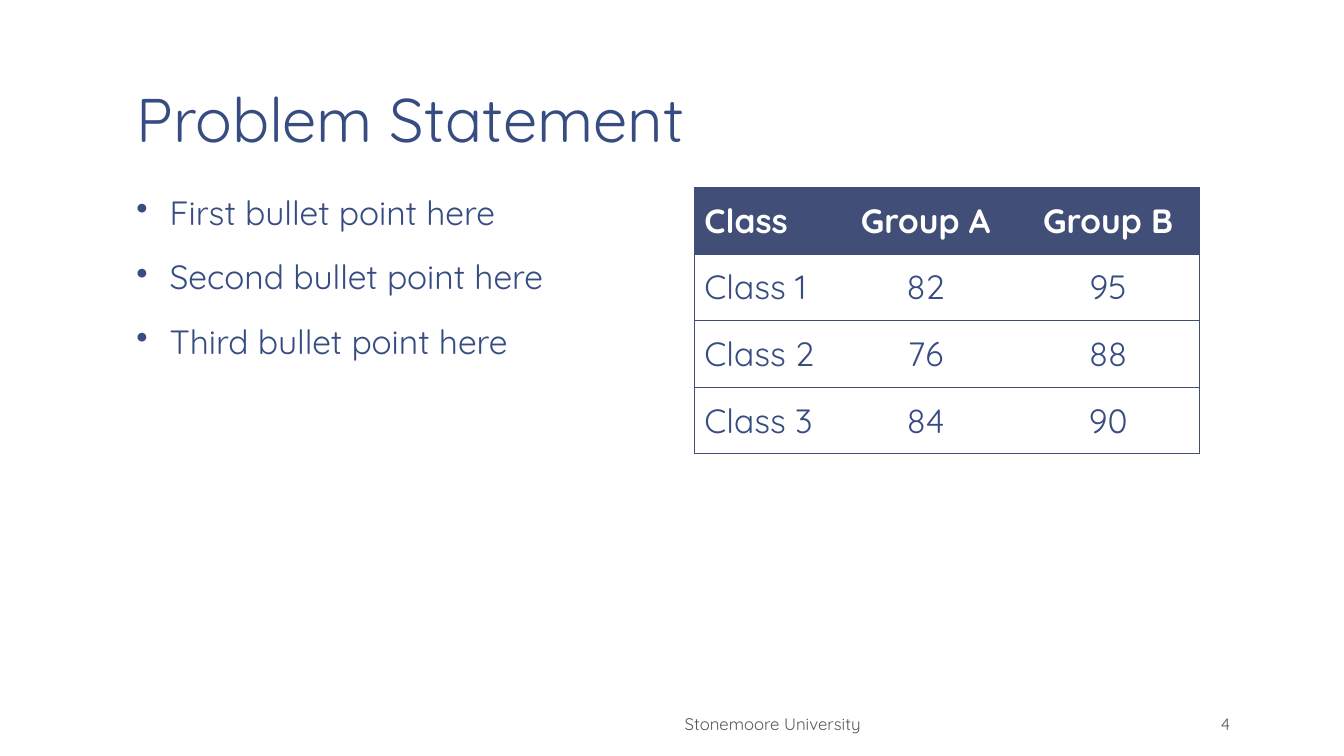
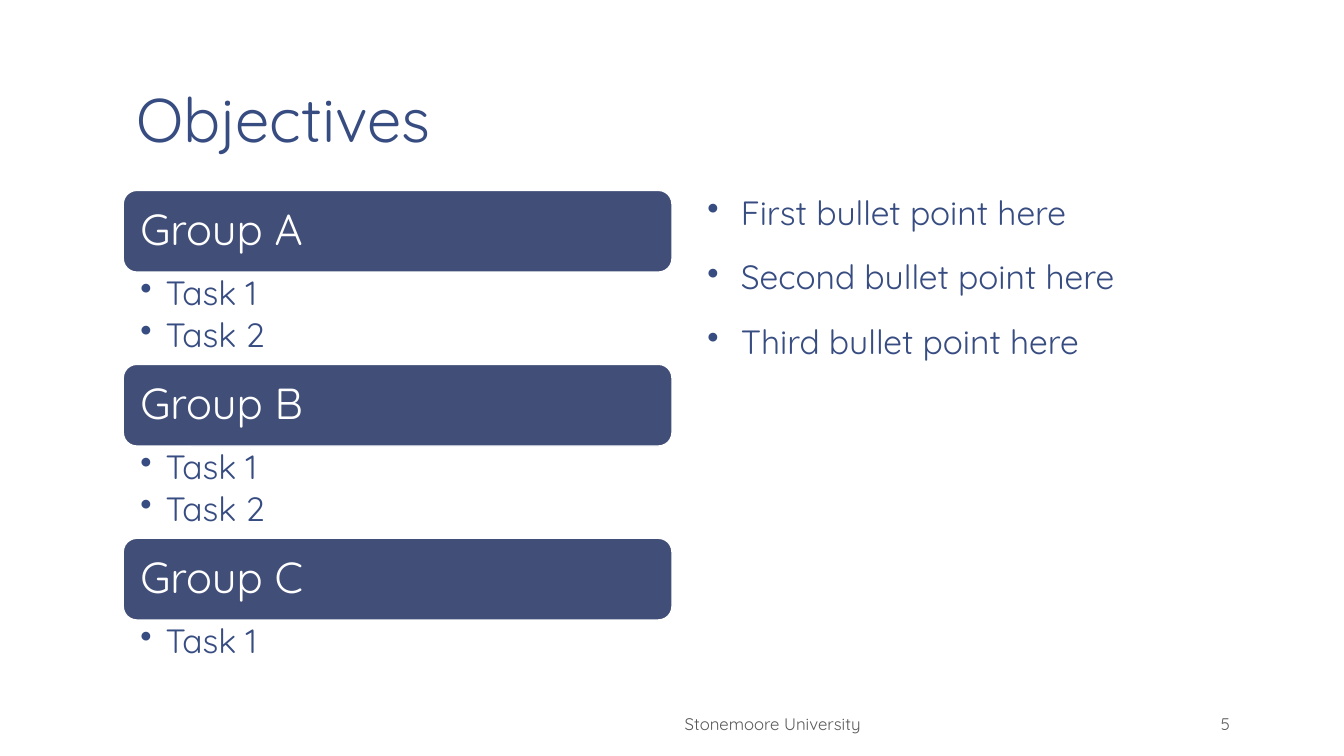
from dataclasses import dataclass
from lxml import etree
from pptx import Presentation
from pptx.dml.color import RGBColor
from pptx.enum.shapes import MSO_SHAPE
from pptx.enum.text import MSO_ANCHOR, PP_ALIGN
from pptx.oxml.ns import qn
from pptx.util import Inches, Pt

LEFT, MID, RIGHT = PP_ALIGN.LEFT, PP_ALIGN.CENTER, PP_ALIGN.RIGHT
TOP, CENTER, BASE = MSO_ANCHOR.TOP, MSO_ANCHOR.MIDDLE, MSO_ANCHOR.BOTTOM
ROUND = MSO_SHAPE.ROUNDED_RECTANGLE
COLS, ROWS = 120, 67.5
WIDE, HIGH = Inches(13.33), Inches(7.5)


@dataclass(frozen=True)
class Theme:
    font: str = "Quicksand"
    ink: str = "374C81"
    band: str = "414E77"
    white: str = "FFFFFF"
    gray: str = "595959"
    title: int = 44
    head: int = 31
    body: int = 24
    foot: int = 12
    rule: float = 0.5
    pad: tuple = (0.13, 0.07, 0.13, 0.07)


@dataclass(frozen=True)
class Box:
    x: float
    y: float
    w: float
    h: float

    def inner(self, x, y, w, h):
        return Box(self.x + x, self.y + y, w, h)

    def place(self):
        return (int(WIDE * self.x / COLS), int(HIGH * self.y / ROWS),
                int(WIDE * self.w / COLS), int(HIGH * self.h / ROWS))


THEME = Theme()
PAGE = Box(0, 0, COLS, ROWS)
HALF_L = PAGE.inner(11, 16.75, 49, 44)
HALF_R = PAGE.inner(62, 16.75, 49, 44)
SCHOOL = "Stonemoore University"
POINTS = ["First bullet point here", "Second bullet point here",
          "Third bullet point here"]
SCORES = [["Class", "Group A", "Group B"], ["Class 1", "82", "95"],
          ["Class 2", "76", "88"], ["Class 3", "84", "90"]]
GROUPS = [("Group A", ["Task 1", "Task 2"]),
          ("Group B", ["Task 1", "Task 2"]), ("Group C", ["Task 1"])]


def color(code):
    return RGBColor.from_string(code)


def write(frame, text, size=THEME.body, ink=THEME.ink, bold=False,
          align=LEFT, line=1.0, before=0, after=0, dent=0):
    lines = [text] if isinstance(text, str) else text
    for i, words in enumerate(lines):
        para = frame.paragraphs[0] if i == 0 else frame.add_paragraph()
        para.alignment, para.line_spacing = align, line
        para.space_before, para.space_after = Pt(before), Pt(after)
        if dent:
            props = para._p.get_or_add_pPr()
            props.set("marL", str(Inches(dent)))
            props.set("indent", str(-Inches(dent)))
            etree.SubElement(props, qn("a:buChar")).set("char", "•")
        run = para.add_run()
        run.text = words
        run.font.name, run.font.size = THEME.font, Pt(size)
        run.font.bold, run.font.color.rgb = bold, color(ink)


def fit(frame, anchor=TOP, pad=THEME.pad):
    frame.word_wrap = True
    frame.vertical_anchor = anchor
    (frame.margin_left, frame.margin_top,
     frame.margin_right, frame.margin_bottom) = map(Inches, pad)
    return frame


def label(slide, box, text, anchor=TOP, pad=THEME.pad, **style):
    area = slide.shapes.add_textbox(*box.place())
    write(fit(area.text_frame, anchor, pad), text, **style)


def base(deck, title, number):
    slide = deck.slides.add_slide(deck.slide_layouts[6])
    slide.background.fill.solid()
    slide.background.fill.fore_color.rgb = color(THEME.white)
    label(slide, PAGE.inner(11, 0.7, 100, 13.8), title, BASE,
          size=THEME.title, line=0.85)
    foot = PAGE.inner(0, 63, COLS, 3.15)
    for x, w, text, align in ((38.4, 61.2, SCHOOL, MID),
                              (100.1, 10.9, str(number), RIGHT)):
        label(slide, foot.inner(x, 0, w, foot.h), text, BASE,
              size=THEME.foot, ink=THEME.gray, align=align)
    return slide


def points(slide, box):
    label(slide, box, POINTS, line=0.95, before=18.7, dent=0.33)


def border(cell, sides):
    props = cell._tc.get_or_add_tcPr()
    for side in "LRTB":
        edge = etree.SubElement(props, qn("a:ln" + side))
        edge.set("w", str(Pt(THEME.rule)))
        if side in sides:
            fill = etree.SubElement(edge, qn("a:solidFill"))
            etree.SubElement(fill, qn("a:srgbClr")).set("val", THEME.band)
        else:
            etree.SubElement(edge, qn("a:noFill"))


def scores(slide, box):
    rows, cols = len(SCORES), len(SCORES[0])
    area = box.inner(0, 0, 45.1, 23.76)
    table = slide.shapes.add_table(rows, cols, *area.place()).table
    for col, span in zip(table.columns, (12.5, 16.3, 16.3)):
        col.width = int(WIDE * span / COLS)
    for r, row in enumerate(SCORES):
        head = r == 0
        for c, text in enumerate(row):
            cell = table.cell(r, c)
            cell.vertical_anchor = CENTER
            border(cell, "TB" + "L" * (c == 0) + "R" * (c == cols - 1))
            if head:
                cell.fill.solid()
                cell.fill.fore_color.rgb = color(THEME.band)
            else:
                cell.fill.background()
            write(cell.text_frame, text, bold=head,
                  ink=THEME.white if head else THEME.ink,
                  align=MID if c else LEFT)


def groups(slide, box):
    step, tall = 15.53, 7.3
    for i, (name, tasks) in enumerate(GROUPS):
        spot = box.inner(0, 0.25 + i * step, box.w, tall)
        bar = slide.shapes.add_shape(ROUND, *spot.place())
        bar.shadow.inherit = False
        bar.fill.solid()
        bar.fill.fore_color.rgb = color(THEME.band)
        bar.line.color.rgb, bar.line.width = color(THEME.white), Pt(1)
        write(fit(bar.text_frame, CENTER, (0.13, 0.13, 0.13, 0.13)), name,
              size=THEME.head, ink=THEME.white, line=0.9)
        label(slide, spot.inner(0, tall, box.w, 1.8 + 3.2 * len(tasks)), tasks,
              pad=(0.17, 0.04, 0.24, 0.04), line=0.9, after=4, dent=0.25)


def main():
    deck = Presentation()
    deck.slide_width, deck.slide_height = WIDE, HIGH
    slide = base(deck, "Problem Statement", 4)
    points(slide, HALF_L)
    scores(slide, HALF_R)
    slide = base(deck, "Objectives", 5)
    groups(slide, HALF_L)
    points(slide, HALF_R)
    deck.save("out.pptx")


if __name__ == "__main__":
    main()
